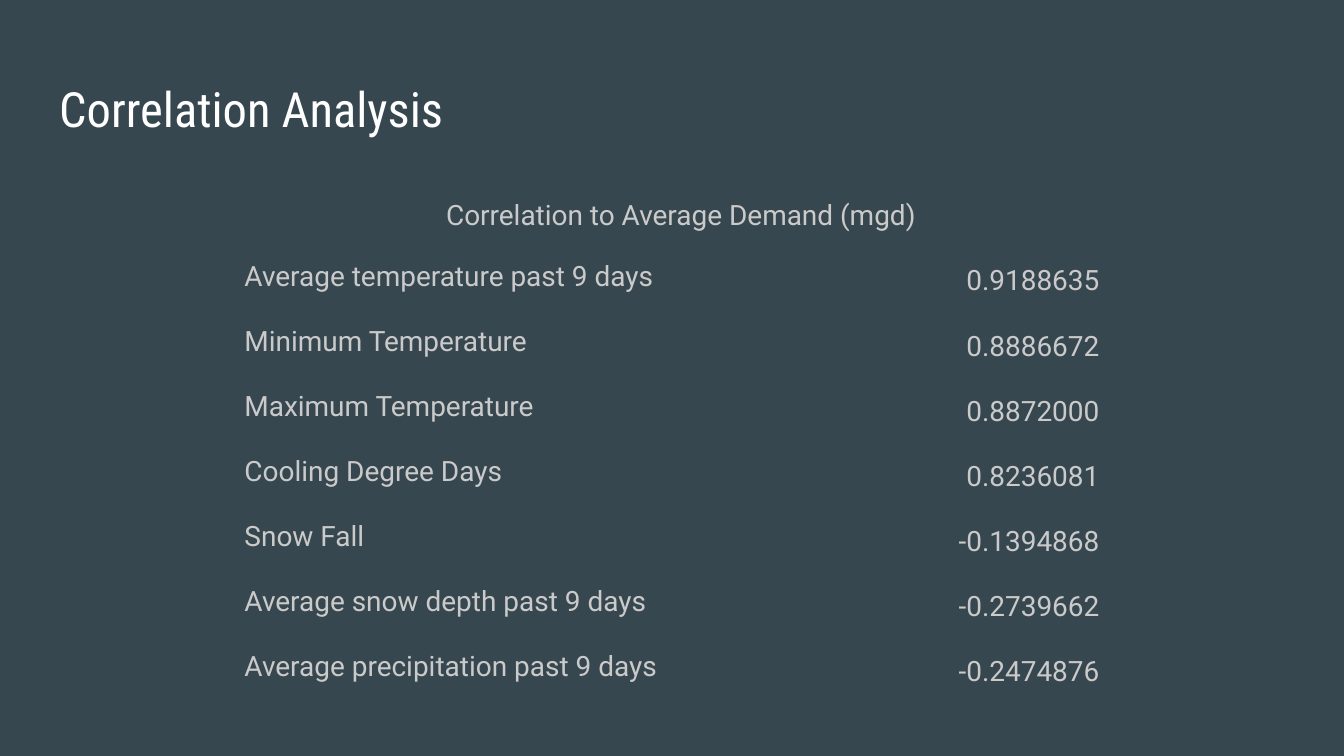
from pptx import Presentation
from pptx.dml.color import RGBColor as RGB
from pptx.enum.text import PP_ALIGN as Al
from pptx.oxml.ns import qn
from pptx.util import Cm, Pt

SLATE = RGB(0x37, 0x47, 0x4F)
WHITE = RGB(0xFF, 0xFF, 0xFF)
SILVER = RGB(0xCA, 0xCA, 0xCA)

PAD = Cm(0.25)
PLAIN = "{2D5ABB26-0587-4C30-8999-92F81FD0307C}"
HEAD = {"name": "Roboto Condensed", "size": Pt(26)}
BODY = {"name": "Roboto", "size": Pt(15)}
LEFT = {"alignment": Al.LEFT}
RIGHT = {"alignment": Al.RIGHT, "line_spacing": 1.15}
INSETS = {f"margin_{side}": PAD for side in ("left", "top", "right", "bottom")}

ROWS = [
    ("Average temperature past 9 days", "0.9188635"),
    ("Minimum Temperature", "0.8886672"),
    ("Maximum Temperature", "0.8872000"),
    ("Cooling Degree Days", "0.8236081"),
    ("Snow Fall", "-0.1394868"),
    ("Average snow depth past 9 days", "-0.2739662"),
    ("Average precipitation past 9 days", "-0.2474876"),
]


def style(item, form):
    """Set each attribute named in a format dict."""
    for key, value in form.items():
        setattr(item, key, value)


def write(frame, text, font, color, para):
    """Write one formatted paragraph and return it."""
    line = frame.paragraphs[0]
    run = line.add_run()
    run.text = text
    style(run.font, font)
    run.font.color.rgb = color
    style(line, para)
    return line


def add_title(slide, left, top, width, height):
    """Place the slide title in the given box."""
    frame = slide.shapes.add_textbox(left, top, width, height).text_frame
    style(frame, {"word_wrap": True, **INSETS})
    write(frame, "Correlation Analysis", HEAD, WHITE, LEFT)


def fill_cell(cell, text, para):
    """Write one table cell and return its paragraph."""
    style(cell, INSETS)
    return write(cell.text_frame, text, BODY, SILVER, para)


def add_grid(slide, left, top, width, height):
    """Place the correlation table in the given box."""
    count = len(ROWS) + 1
    grid = slide.shapes.add_table(count, 2, left, top, width, height).table
    style(grid, {"first_row": False, "horz_banding": False})
    grid._tbl.tblPr.find(qn("a:tableStyleId")).text = PLAIN
    for cell in grid.iter_cells():
        cell.fill.background()

    side = Cm(3.81)
    grid.columns[0].width = width - side
    grid.columns[1].width = side
    first = Cm(1.07)
    for row in grid.rows:
        row.height = (height - first) // len(ROWS)
    grid.rows[0].height = first

    grid.cell(0, 0).merge(grid.cell(0, 1))
    head = fill_cell(grid.cell(0, 0), "Correlation to Average Demand (mgd)", LEFT)
    head._p.get_or_add_pPr().set("marL", str(Cm(3.81)))
    for num, (label, value) in enumerate(ROWS, 1):
        fill_cell(grid.cell(num, 0), label, LEFT)
        fill_cell(grid.cell(num, 1), value, RIGHT)


def main():
    """Build and save the slide."""
    deck = Presentation()
    style(deck, {"slide_width": Cm(25.4), "slide_height": Cm(14.29)})
    slide = deck.slides.add_slide(deck.slide_layouts[6])
    fill = slide.background.fill
    fill.solid()
    fill.fore_color.rgb = SLATE
    add_title(slide, Cm(0.87), Cm(1.24), Cm(23.67), Cm(1.6))
    add_grid(slide, Cm(4.37), Cm(3.53), Cm(16.66), Cm(9.26))
    deck.save("out.pptx")


if __name__ == "__main__":
    main()
